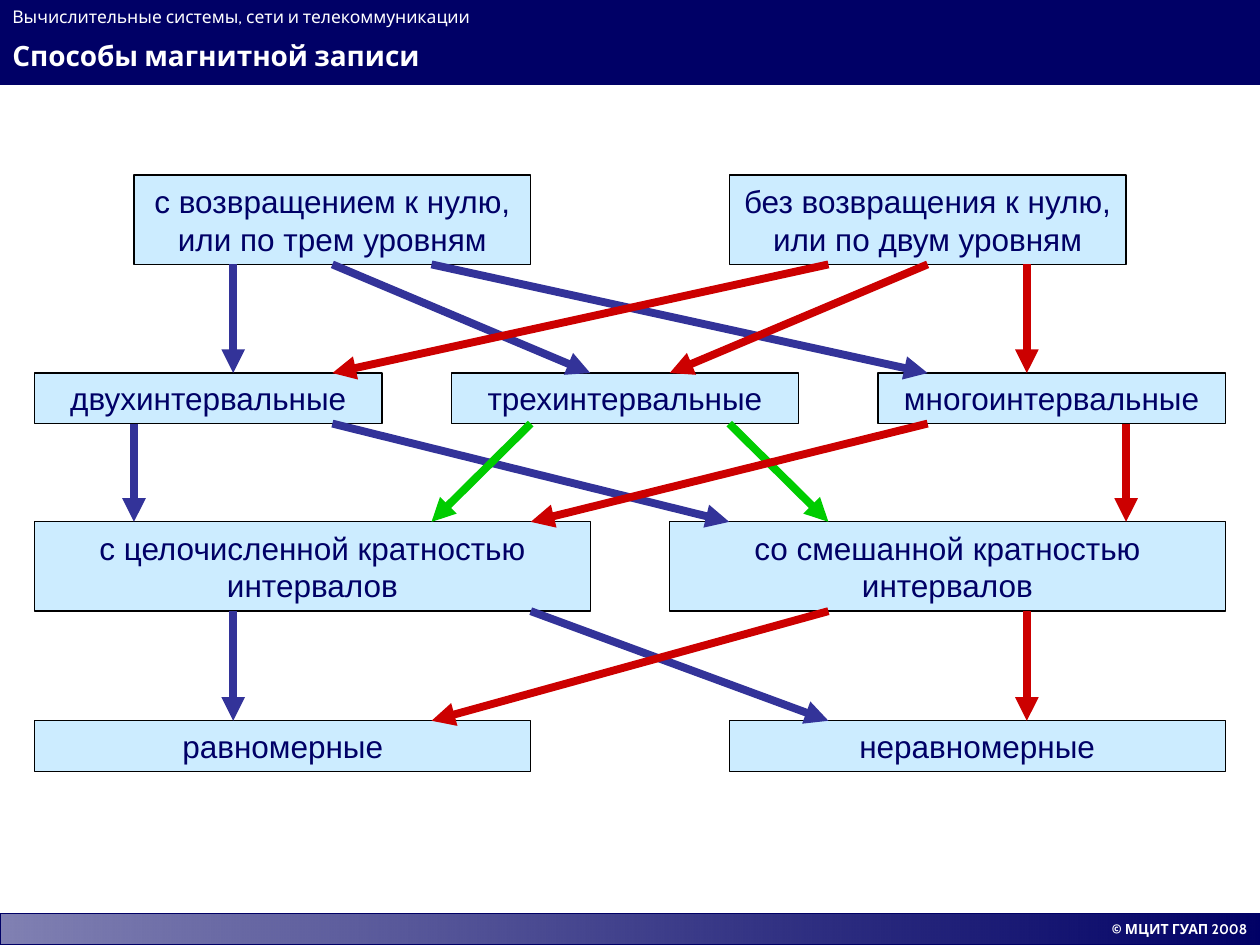
from dataclasses import dataclass

from lxml import etree
from pptx import Presentation
from pptx.dml.color import RGBColor
from pptx.enum.shapes import MSO_CONNECTOR, MSO_SHAPE
from pptx.enum.text import MSO_ANCHOR, PP_ALIGN
from pptx.oxml.ns import qn
from pptx.util import Cm, Pt

RECTANGLE = MSO_SHAPE.RECTANGLE
STRAIGHT = MSO_CONNECTOR.STRAIGHT
MIDDLE = MSO_ANCHOR.MIDDLE
LEFT, CENTER, RIGHT = PP_ALIGN.LEFT, PP_ALIGN.CENTER, PP_ALIGN.RIGHT
BOTTOM_SIDE = 2

SLIDE_WIDTH, SLIDE_HEIGHT = 25.4, 19.05


@dataclass(frozen=True)
class Theme:
    navy: str = "000066"
    white: str = "FFFFFF"
    box_fill: str = "CCECFF"
    box_line: str = "000000"
    blue: str = "333399"
    red: str = "CC0000"
    green: str = "00CC00"
    heading_font: str = "Cabin"
    body_font: str = "Arial"
    title_size: float = 16
    course_size: float = 10
    footer_size: float = 8
    box_size: float = 18
    border: float = 0.75
    arrow: float = 4.5


class SlideBuilder:
    def __init__(self, slide, theme):
        self.slide = slide
        self.theme = theme

    def add_text(self, shape, text, size, font, color, align, bold=False):
        frame = shape.text_frame
        frame.word_wrap = True
        frame.vertical_anchor = MIDDLE
        paragraph = frame.paragraphs[0]
        paragraph.alignment = align
        run = paragraph.add_run()
        run.text = text
        run.font.size = Pt(size)
        run.font.name = font
        run.font.bold = bold
        run.font.color.rgb = RGBColor.from_string(color)

    def rectangle(self, left, top, width, height, fill, line):
        shape = self.slide.shapes.add_shape(
            RECTANGLE, Cm(left), Cm(top), Cm(width), Cm(height))
        shape.shadow.inherit = False
        shape.fill.solid()
        shape.fill.fore_color.rgb = RGBColor.from_string(fill)
        shape.line.color.rgb = RGBColor.from_string(line)
        shape.line.width = Pt(self.theme.border)
        return shape

    def heading(self, top, height, text, size, bold=False):
        shape = self.slide.shapes.add_textbox(
            0, Cm(top), Cm(SLIDE_WIDTH), Cm(height))
        self.add_text(shape, text, size, self.theme.heading_font,
                      self.theme.white, LEFT, bold)

    def footer(self, top, text):
        theme = self.theme
        shape = self.rectangle(0, top, SLIDE_WIDTH, SLIDE_HEIGHT - top,
                               theme.navy, theme.navy)
        shape.fill.gradient()
        shape.fill.gradient_angle = 0
        for stop in shape.fill.gradient_stops:
            stop.color.rgb = RGBColor.from_string(theme.navy)
        # Half-transparent left end
        gradient = shape.element.spPr.find(qn("a:gradFill"))
        first_color = next(gradient.iter(qn("a:srgbClr")))
        etree.SubElement(first_color, qn("a:alpha")).set("val", "50000")
        self.add_text(shape, text, theme.footer_size, theme.heading_font,
                      theme.white, RIGHT, bold=True)

    def box(self, left, top, width, height, text):
        theme = self.theme
        shape = self.rectangle(left, top, width, height,
                               theme.box_fill, theme.box_line)
        self.add_text(shape, text, theme.box_size, theme.body_font,
                      theme.navy, CENTER)
        return shape

    def arrow(self, start_x, start_y, end_x, end_y, color, boxes):
        connector = self.slide.shapes.add_connector(
            STRAIGHT, Cm(start_x), Cm(start_y), Cm(end_x), Cm(end_y))
        for box in boxes:
            if abs(box.left + box.width / 2 - Cm(start_x)) < Cm(0.05):
                connector.begin_connect(box, BOTTOM_SIDE)
        connector.line.color.rgb = RGBColor.from_string(color)
        connector.line.width = Pt(self.theme.arrow)
        properties = connector.element.spPr
        line = properties.find(qn("a:ln"))
        etree.SubElement(line, qn("a:tailEnd")).set("type", "triangle")
        etree.SubElement(properties, qn("a:effectLst"))


def column(number):
    """Horizontal position of a grid column, 2 cm apart."""
    return 0.7 + 2 * number


def main():
    presentation = Presentation()
    presentation.slide_width = Cm(SLIDE_WIDTH)
    presentation.slide_height = Cm(SLIDE_HEIGHT)
    slide = presentation.slides.add_slide(presentation.slide_layouts[6])
    theme = Theme()
    builder = SlideBuilder(slide, theme)

    # Header and footer
    builder.rectangle(0, 0, SLIDE_WIDTH, 1.7, theme.navy, theme.navy)
    builder.heading(0.64, 0.94, "Способы магнитной записи",
                    theme.title_size, bold=True)
    builder.heading(0, 0.68, "Вычислительные системы, сети и телекоммуникации",
                    theme.course_size)
    builder.footer(18.41, "© МЦИТ ГУАП 2008")

    # Levels of the classification: top, height, box width, (left, text)
    one_line, two_lines = 1.02, 1.8
    levels = [
        (3.53, two_lines, 8, [
            (column(1), "с возвращением к нулю, или по трем уровням"),
            (column(7), "без возвращения к нулю, или по двум уровням")]),
        (7.52, one_line, 7, [
            (column(0), "двухинтервальные"),
            (column(4.2), "трехинтервальные"),
            (column(8.5), "многоинтервальные")]),
        (10.52, two_lines, 11.2, [
            (column(0), "с целочисленной кратностью интервалов"),
            (column(6.4), "со смешанной кратностью интервалов")]),
        (14.53, one_line, 10, [
            (column(0), "равномерные"),
            (column(7), "неравномерные")]),
    ]
    box_rows = [
        [builder.box(left, top, width, height, text) for left, text in items]
        for top, height, width, items in levels]

    # Arrows between neighbouring levels: start column, end column, colour
    links = [
        [(2, 2, theme.blue), (10, 10, theme.red), (3, 5.6, theme.blue),
         (4, 9, theme.blue), (9, 6.4, theme.red), (8, 3, theme.red)],
        [(1, 1, theme.blue), (3, 7, theme.blue), (5, 4, theme.green),
         (7, 8, theme.green), (9, 5, theme.red), (11, 11, theme.red)],
        [(2, 2, theme.blue), (5, 8, theme.blue),
         (8, 4, theme.red), (10, 10, theme.red)],
    ]
    for upper, lower, boxes, row in zip(levels, levels[1:], box_rows, links):
        bottom = upper[0] + upper[1]
        for start, end, color in row:
            builder.arrow(column(start), bottom, column(end), lower[0],
                          color, boxes)

    presentation.save("out.pptx")


if __name__ == "__main__":
    main()
